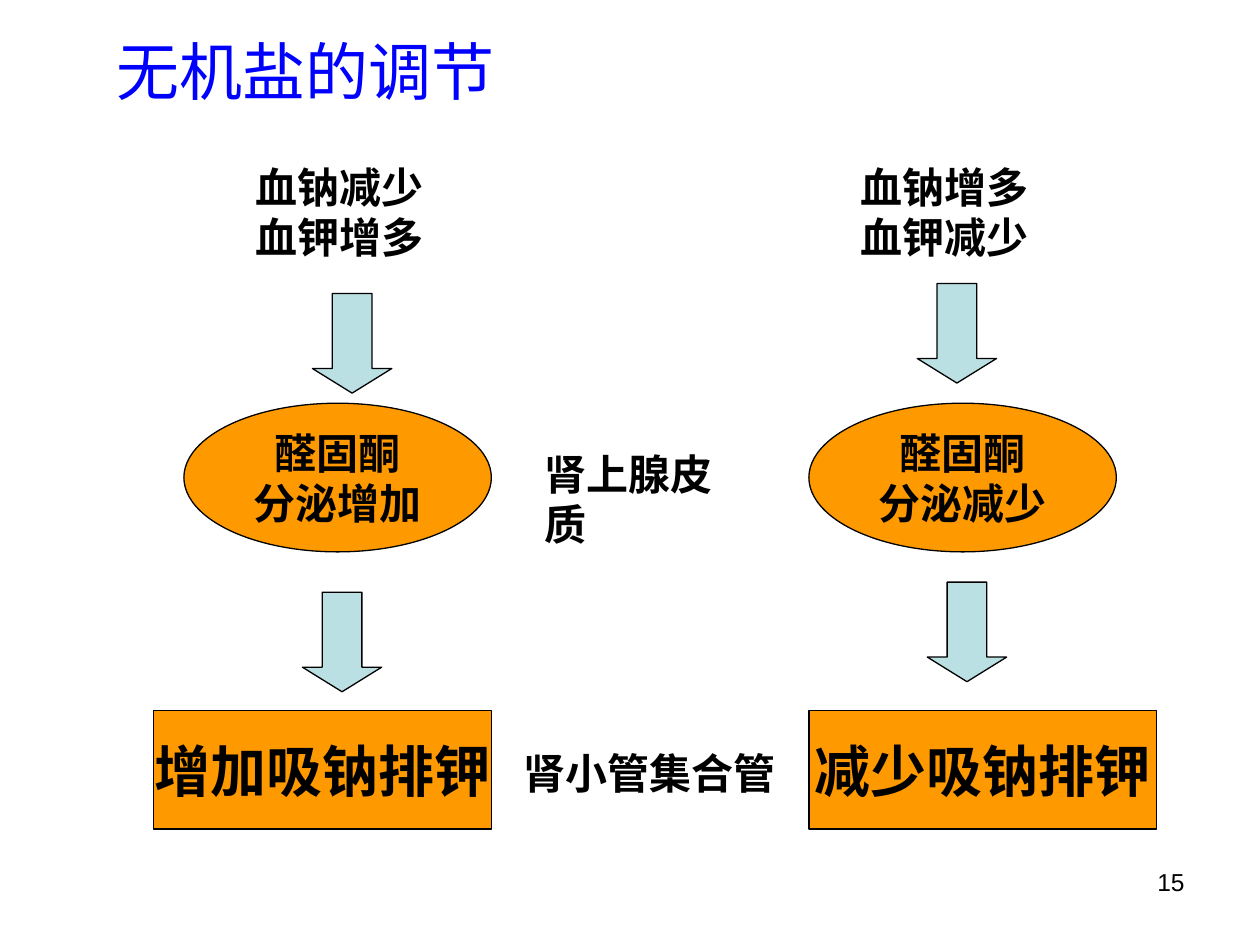
from dataclasses import dataclass

import pptx
import pptx.dml.color
import pptx.enum.shapes
import pptx.enum.text
import pptx.util

SHAPE = pptx.enum.shapes.MSO_SHAPE
ALIGN = pptx.enum.text.PP_ALIGN
COLUMNS, ROWS = 100, 75
BLACK, BLUE, ORANGE, TEAL = "000000", "0000FF", "FF9900", "BBE0E3"


@dataclass(frozen=True)
class Area:
    """A rectangle in grid columns and rows."""
    column: float
    row: float
    columns: float
    rows: float


@dataclass(frozen=True)
class Label:
    """Text lines with their type style."""
    lines: tuple[str, ...]
    size: int = 24
    bold: bool = True
    color: str = BLACK
    align: ALIGN = ALIGN.LEFT
    wrap: bool = True


@dataclass(frozen=True)
class Branch:
    """One regulation pathway, from blood change to kidney response."""
    cause: str
    secretion: str
    response: str
    cause_column: float
    hormone_column: float
    response_column: float
    response_columns: float
    arrows: tuple[tuple[float, float], ...]


BRANCHES = (
    Branch("血钠减少血钾增多", "分泌增加", "增加吸钠排钾",
           19.3, 14.6, 12.2, 26.8, ((24.8, 23.3), (24, 47))),
    Branch("血钠增多血钾减少", "分泌减少", "减少吸钠排钾",
           67.3, 64.2, 64.2, 27.6, ((72.8, 22.5), (73.6, 46.2))),
)

CAPTIONS = (
    (Area(8.3, 2.1, 37, 7), Label(("无机盐的调节",), 36, False, BLUE)),
    (Area(42.2, 35.1, 18.6, 5), Label(("肾上腺皮质",), wrap=False)),
    (Area(40.6, 58.8, 22, 5), Label(("肾小管集合管",), wrap=False)),
    (Area(71.7, 68.3, 23.3, 5.2), Label(("15",), 14, False, align=ALIGN.RIGHT)),
)


def rgb(value: str) -> pptx.dml.color.RGBColor:
    """Turn a hex string into a colour."""
    return pptx.dml.color.RGBColor.from_string(value)


def place(deck, area: Area) -> tuple[int, int, int, int]:
    """Convert a grid area to slide lengths."""
    cell_width, cell_height = deck.slide_width / COLUMNS, deck.slide_height / ROWS
    return (round(area.column * cell_width), round(area.row * cell_height),
            round(area.columns * cell_width), round(area.rows * cell_height))


def write(box, label: Label) -> None:
    """Fill a box with styled paragraphs."""
    frame = box.text_frame
    frame.word_wrap = label.wrap
    frame.text = "\n".join(label.lines)
    for para in frame.paragraphs:
        para.alignment = label.align
        para.font.name = "Arial"
        para.font.size = pptx.util.Pt(label.size)
        para.font.bold = label.bold
        para.font.color.rgb = rgb(label.color)


def add_text(deck, page, area: Area, label: Label) -> None:
    """Add a text box."""
    write(page.shapes.add_textbox(*place(deck, area)), label)


def add_block(deck, page, kind: SHAPE, area: Area, fill: str):
    """Add a filled, thinly outlined shape."""
    block = page.shapes.add_shape(kind, *place(deck, area))
    block.shadow.inherit = False
    block.fill.solid()
    block.fill.fore_color.rgb = rgb(fill)
    block.line.color.rgb = rgb(BLACK)
    block.line.width = pptx.util.Pt(0.75)
    block.text_frame.vertical_anchor = pptx.enum.text.MSO_ANCHOR.MIDDLE
    return block


def add_branch(deck, page, branch: Branch) -> None:
    """Draw one pathway from top to bottom."""
    add_text(deck, page, Area(branch.cause_column, 12.3, 16.5, 9), Label((branch.cause,)))
    for column, row in branch.arrows:
        arrow = add_block(deck, page, SHAPE.DOWN_ARROW, Area(column, row, 6.3, 7.9), TEAL)
        arrow.adjustments[0] = 0.5
        arrow.adjustments[1] = 0.31
    hormone = add_block(deck, page, SHAPE.OVAL,
                        Area(branch.hormone_column, 32, 24.4, 11.8), ORANGE)
    write(hormone, Label(("醛固酮", branch.secretion), align=ALIGN.CENTER, wrap=False))
    response = add_block(deck, page, SHAPE.RECTANGLE,
                         Area(branch.response_column, 56.4, branch.response_columns, 9.4),
                         ORANGE)
    write(response, Label((branch.response,), 32, align=ALIGN.CENTER, wrap=False))


def main() -> None:
    """Build and save the slide."""
    deck = pptx.Presentation()
    deck.slide_width = pptx.util.Inches(10)
    deck.slide_height = pptx.util.Inches(7.5)
    page = deck.slides.add_slide(deck.slide_layouts[6])
    for branch in BRANCHES:
        add_branch(deck, page, branch)
    for area, label in CAPTIONS:
        add_text(deck, page, area, label)
    deck.save("out.pptx")


if __name__ == "__main__":
    main()
